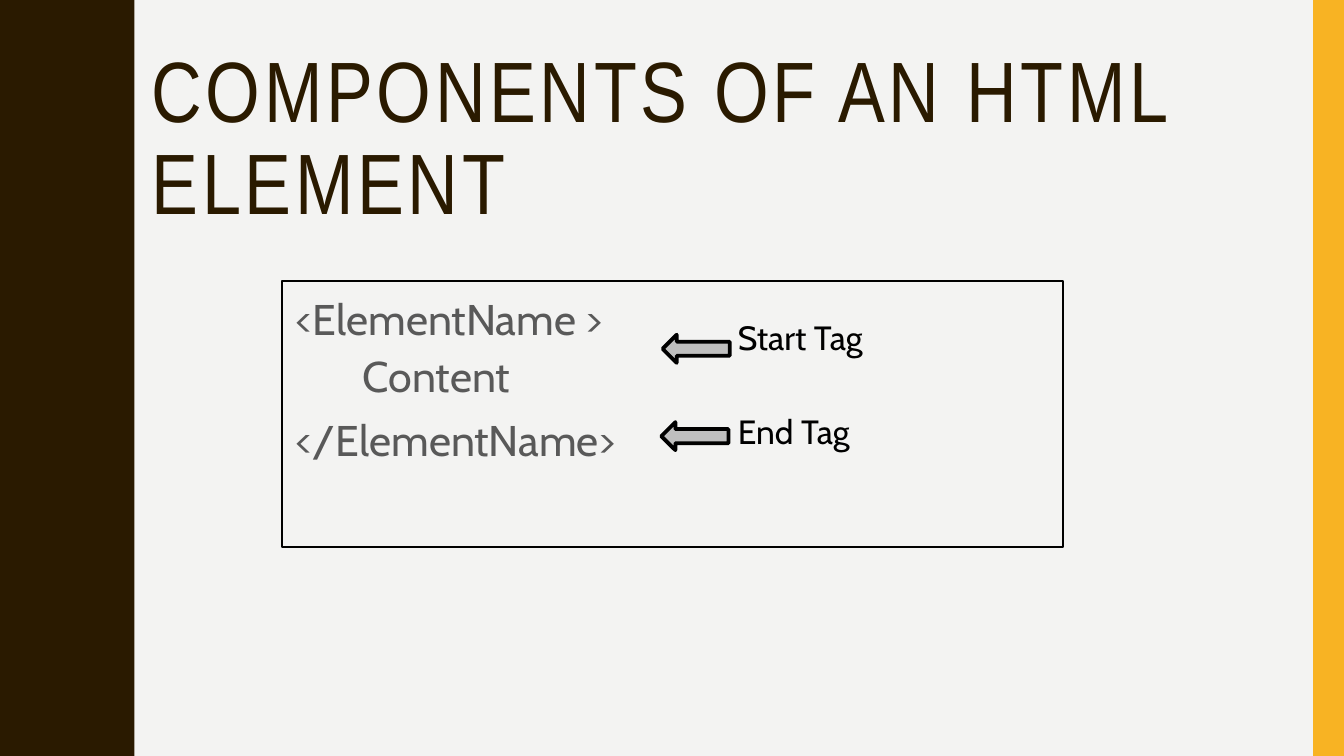
from pptx import Presentation
from pptx.dml.color import RGBColor
from pptx.enum.shapes import MSO_SHAPE
from pptx.enum.text import MSO_ANCHOR, PP_ALIGN
from pptx.util import Inches, Pt

# Content
TITLE = "COMPONENTS OF AN HTML ELEMENT"
CODE_LINES = [  # text, space before in points
    ("<ElementName >", 0),
    ("\tContent", 0),
    ("</ElementName>", 4.4),
]
TAGS = [  # label, label top, arrow left, arrow top
    ("Start Tag", 2.33, 4.93, 2.49),
    ("End Tag", 3.03, 4.92, 3.14),
]

THEME = {
    "background": "F3F3F2", "brown": "2A1A00", "gold": "F8B323",
    "code": "595959", "black": "000000", "arrow": "BFBFBF",
    "title_font": "Arial Narrow", "body_font": "Cabin",
    "title_size": 45.9, "code_size": 23, "label_size": 18,
}
WIDTH, HEIGHT = 10, 5.625

# Left edge: half a wave as (x, y), mirrored and repeated down the slide
WAVE_COUNT = 5
WAVE_HEIGHT = HEIGHT / WAVE_COUNT
HALF_WAVE = [
    (0.58, 0), (0.58, 0.06), (0.59, 0.11), (0.6, 0.15), (0.61, 0.19),
    (0.62, 0.22), (0.64, 0.25), (0.65, 0.28), (0.67, 0.31), (0.68, 0.34),
    (0.7, 0.38), (0.71, 0.41), (0.72, 0.46), (0.72, 0.51), (0.73, 0.56),
]


def color(name):
    return RGBColor.from_string(THEME[name])


def style_shape(shape, fill=None, line=None, line_width=1):
    shape.shadow.inherit = False
    if fill:
        shape.fill.solid()
        shape.fill.fore_color.rgb = color(fill)
    else:
        shape.fill.background()
    if line:
        shape.line.color.rgb = color(line)
        shape.line.width = Pt(line_width)
    else:
        shape.line.fill.background()


def write_lines(shape, lines, font, size, text_color, line_spacing=1.0, insets=(0.1, 0.05)):
    frame = shape.text_frame
    horizontal, vertical = map(Inches, insets)
    frame_format = {
        "word_wrap": True, "vertical_anchor": MSO_ANCHOR.TOP,
        "margin_left": horizontal, "margin_right": horizontal,
        "margin_top": vertical, "margin_bottom": vertical,
    }
    for name, value in frame_format.items():
        setattr(frame, name, value)
    for index, (text, space_before) in enumerate(lines):
        paragraph = frame.paragraphs[0] if index == 0 else frame.add_paragraph()
        paragraph_format = {
            "alignment": PP_ALIGN.LEFT, "line_spacing": line_spacing,
            "space_before": Pt(space_before),
        }
        for name, value in paragraph_format.items():
            setattr(paragraph, name, value)
        run = paragraph.add_run()
        run.text = text
        run.font.name = THEME[font]
        run.font.size = Pt(THEME[size])
        run.font.color.rgb = color(text_color)


def add_wavy_edge(slide):
    wave = HALF_WAVE + [(x, WAVE_HEIGHT - y) for x, y in reversed(HALF_WAVE)]
    points = [(x, y + number * WAVE_HEIGHT) for number in range(WAVE_COUNT) for x, y in wave]
    builder = slide.shapes.build_freeform(0, 0, scale=Inches(1))
    builder.add_line_segments(points + [(0, HEIGHT)], close=True)
    style_shape(builder.convert_to_shape(), "brown")


def add_preset(slide, preset, box, **style):
    shape = slide.shapes.add_shape(preset, *map(Inches, box))
    style_shape(shape, **style)
    return shape


def add_text_box(slide, box):
    return slide.shapes.add_textbox(*map(Inches, box))


def main():
    presentation = Presentation()
    presentation.slide_width = Inches(WIDTH)
    presentation.slide_height = Inches(HEIGHT)
    slide = presentation.slides.add_slide(presentation.slide_layouts[6])
    slide.background.fill.solid()
    slide.background.fill.fore_color.rgb = color("background")

    # Side decoration
    add_wavy_edge(slide)
    add_preset(slide, MSO_SHAPE.RECTANGLE, (9.77, 0, 0.23, HEIGHT), fill="gold")

    # Title with two-point letter spacing
    title = add_text_box(slide, (1.03, 0.31, 8.35, 1.22))
    write_lines(title, [(TITLE, 0)], "title_font", "title_size", "brown", 0.9)
    title_run = title.text_frame.paragraphs[0].runs[0]
    title_run.font._element.set("spc", "200")

    # Framed element code
    code = add_preset(slide, MSO_SHAPE.RECTANGLE, (2.1, 2.09, 5.81, 1.98), line="black")
    write_lines(code, CODE_LINES, "body_font", "code_size", "code", 1.1)

    # Tag labels, then arrows pointing left at the code
    for label, label_top, _, _ in TAGS:
        box = add_text_box(slide, (5.43, label_top, 2.27, 0.37))
        write_lines(box, [(label, 0)], "body_font", "label_size", "black", insets=(0.06, 0.03))
    for _, _, left, top in TAGS:
        arrow = add_preset(slide, MSO_SHAPE.RIGHT_ARROW, (left, top, 0.5, 0.21),
                           fill="arrow", line="black", line_width=2)
        arrow.rotation = 180

    presentation.save("out.pptx")


if __name__ == "__main__":
    main()
